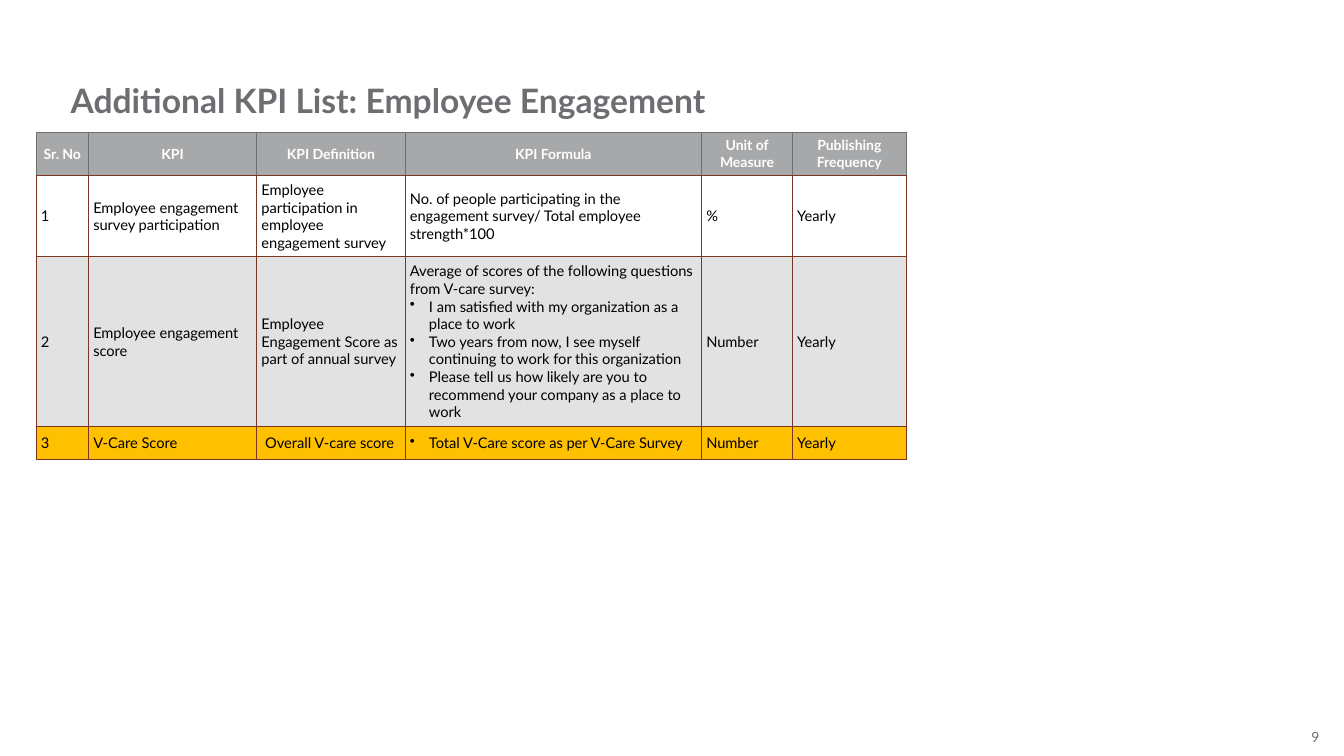
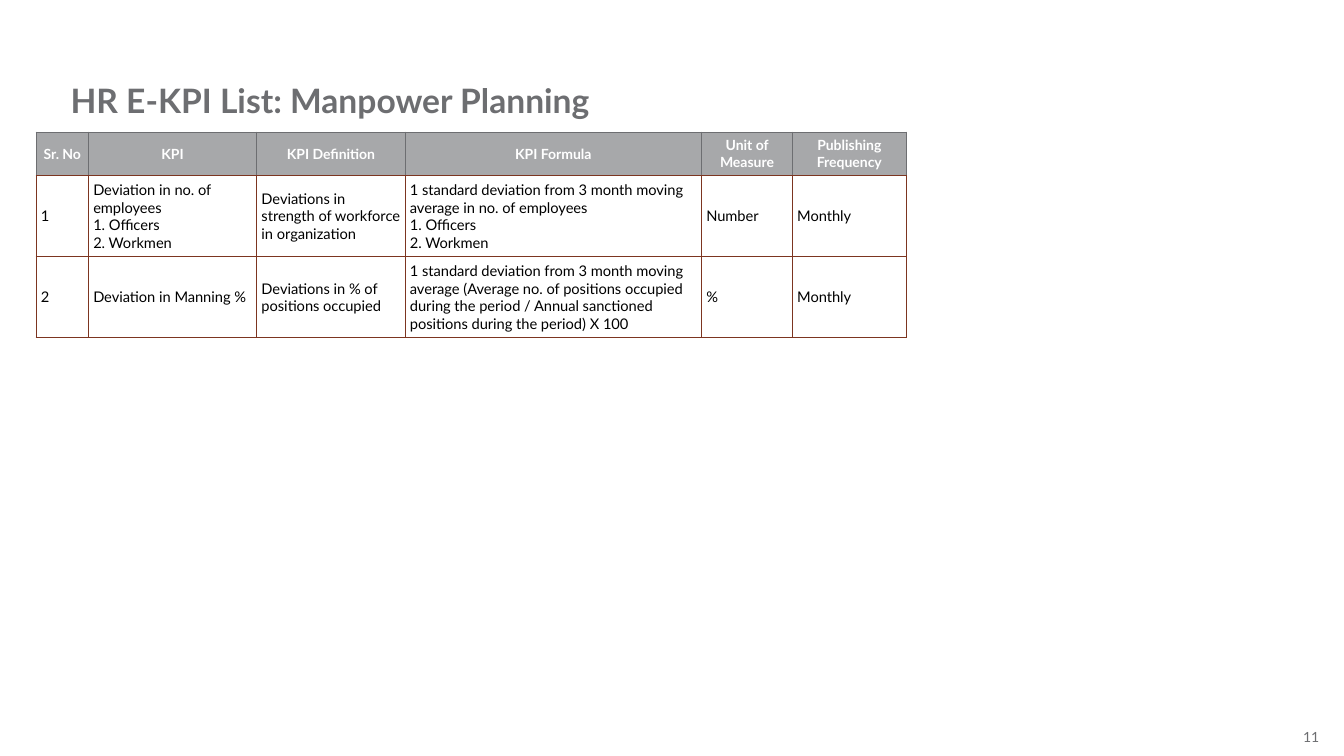
from lxml.etree import SubElement
from pptx import Presentation
from pptx.dml.color import RGBColor
from pptx.enum.text import MSO_ANCHOR, PP_ALIGN
from pptx.oxml import parse_xml
from pptx.oxml.ns import nsdecls, qn
from pptx.util import Cm, Pt

FONT = "Lato"
COLOURS = {
    "grey": "6D6E71",
    "header": "A7A8AA",
    "white": "FFFFFF",
    "black": "000000",
    "band": "E2E2E3",
    "highlight": "FFC000",
    "rule": "7C3520",
}
HEADINGS = ["Sr. No", "KPI", "KPI Definition", "KPI Formula",
            "Unit of Measure", "Publishing Frequency"]
COLUMN_WIDTHS = [1.32, 4.24, 3.74, 7.47, 2.29, 2.87]
HEADER_HEIGHT = 1.1
INSET = Cm(0.12)
BULLET = "\u2022"

# Each row: fill, height in cm, cells. A list holds paragraphs.
ENGAGEMENT = [
    ("white", 2.04, [
        "1", "Employee engagement survey participation",
        "Employee participation in employee engagement survey",
        "No. of people participating in the engagement survey/ "
        "Total employee strength*100", "%", "Yearly"]),
    ("band", 4.28, [
        "2", "Employee engagement score",
        "Employee Engagement Score as part of annual survey",
        ["Average of scores of the following questions from V-care survey:",
         BULLET + "I am satisfied with my organization as a place to work",
         BULLET + "Two years from now, I see myself continuing to work "
         "for this organization",
         BULLET + "Please tell us how likely are you to recommend your "
         "company as a place to work"], "Number", "Yearly"]),
    ("highlight", 0.82, [
        "3", "V-Care Score", " Overall V-care score",
        BULLET + "Total V-Care score as per V-Care Survey",
        "Number", "Yearly"]),
]
MANPOWER = [
    ("white", 2.04, [
        "1", "Deviation in no. of employees\n1. Officers\n2. Workmen",
        "Deviations in strength of workforce in organization",
        "1 standard deviation from 3 month moving average in no. of "
        "employees\n1. Officers\n2. Workmen", "Number", "Monthly"]),
    ("white", 2.04, [
        "2", "Deviation in Manning %", "Deviations in % of positions occupied",
        "1 standard deviation from 3 month moving average (Average no. of "
        "positions occupied during the period / Annual sanctioned positions "
        "during the period) X 100", "%", "Monthly"]),
]


def rgb(name):
    """Return the named colour."""
    return RGBColor.from_string(COLOURS[name])


def add_words(paragraph, words, size, colour, bold=False):
    """Add one run per line of the words."""
    for number, line in enumerate(words.split("\n")):
        if number:
            paragraph.add_line_break()
        run = paragraph.add_run()
        run.text = line
        run.font.name = FONT
        run.font.size = Pt(size)
        run.font.bold = bold
        run.font.color.rgb = rgb(colour)


def add_label(slide, place, words, size, bold=False, wrap=True,
              align=PP_ALIGN.LEFT, anchor=MSO_ANCHOR.TOP):
    """Add grey text without margins; place is left, top, width, height."""
    frame = slide.shapes.add_textbox(*map(Cm, place)).text_frame
    frame.margin_left = frame.margin_right = 0
    frame.margin_top = frame.margin_bottom = 0
    frame.word_wrap = wrap
    frame.vertical_anchor = anchor
    frame.paragraphs[0].alignment = align
    add_words(frame.paragraphs[0], words, size, "grey", bold)


def add_bullet(paragraph):
    """Give the paragraph a hanging bullet."""
    properties = paragraph._p.get_or_add_pPr()
    properties.set("marL", str(Cm(0.48)))
    properties.set("indent", str(-Cm(0.48)))
    SubElement(properties, qn("a:buChar"), char=BULLET)


def add_borders(cell, sides):
    """Rule the cell's left, right, top and bottom in the named colours."""
    properties = cell._tc.get_or_add_tcPr()
    for position, (side, colour) in enumerate(zip("LRTB", sides)):
        properties.insert(position, parse_xml(
            f'<a:ln{side} {nsdecls("a")} w="{Pt(1)}"><a:solidFill>'
            f'<a:srgbClr val="{COLOURS[colour]}"/></a:solidFill></a:ln{side}>'))


def fill_cell(cell, content, fill, heading=False):
    """Write and style one table cell."""
    cell.margin_left = cell.margin_right = INSET
    cell.margin_top = cell.margin_bottom = INSET
    cell.vertical_anchor = MSO_ANCHOR.MIDDLE
    cell.fill.solid()
    cell.fill.fore_color.rgb = rgb(fill)
    edge = "grey" if heading else "rule"
    add_borders(cell, [edge, edge, edge, "rule"])
    frame = cell.text_frame
    for number, words in enumerate(
            content if isinstance(content, list) else [content]):
        paragraph = frame.add_paragraph() if number else frame.paragraphs[0]
        if heading:
            paragraph.alignment = PP_ALIGN.CENTER
            add_words(paragraph, words, 10, "white", bold=True)
            continue
        if words.startswith(BULLET):
            add_bullet(paragraph)
        add_words(paragraph, words.removeprefix(BULLET), 10.5, "black")


def add_kpi_table(slide, kpis):
    """Add the KPI table with its heading row."""
    rows = [("header", HEADER_HEIGHT, HEADINGS)] + kpis
    table = slide.shapes.add_table(
        len(rows), len(HEADINGS), Cm(0.91), Cm(3.33), Cm(sum(COLUMN_WIDTHS)),
        Cm(sum(height for _, height, _ in rows))).table
    table.horz_banding = False
    for column, width in zip(table.columns, COLUMN_WIDTHS):
        column.width = Cm(width)
    for index, (fill, height, contents) in enumerate(rows):
        table.rows[index].height = Cm(height)
        for cell, content in zip(table.rows[index].cells, contents):
            fill_cell(cell, content, fill, heading=index == 0)


def add_kpi_slide(deck, title, page, kpis):
    """Add a slide with page number, title and KPI table."""
    slide = deck.slides.add_slide(deck.slide_layouts[6])
    add_label(slide, (32.82, 18.36, 0.43, 0.43), page, 10, wrap=False,
              align=PP_ALIGN.RIGHT, anchor=MSO_ANCHOR.MIDDLE)
    add_label(slide, (1.78, 2.01, 30.45, 1.02), title, 24, bold=True)
    add_kpi_table(slide, kpis)


def main():
    """Build and save the deck."""
    deck = Presentation()
    deck.slide_width, deck.slide_height = Cm(33.87), Cm(19.05)
    add_kpi_slide(deck, "Additional KPI List: Employee Engagement", "9",
                  ENGAGEMENT)
    add_kpi_slide(deck, "HR E-KPI List: Manpower Planning", "11", MANPOWER)
    deck.save("out.pptx")


main()
